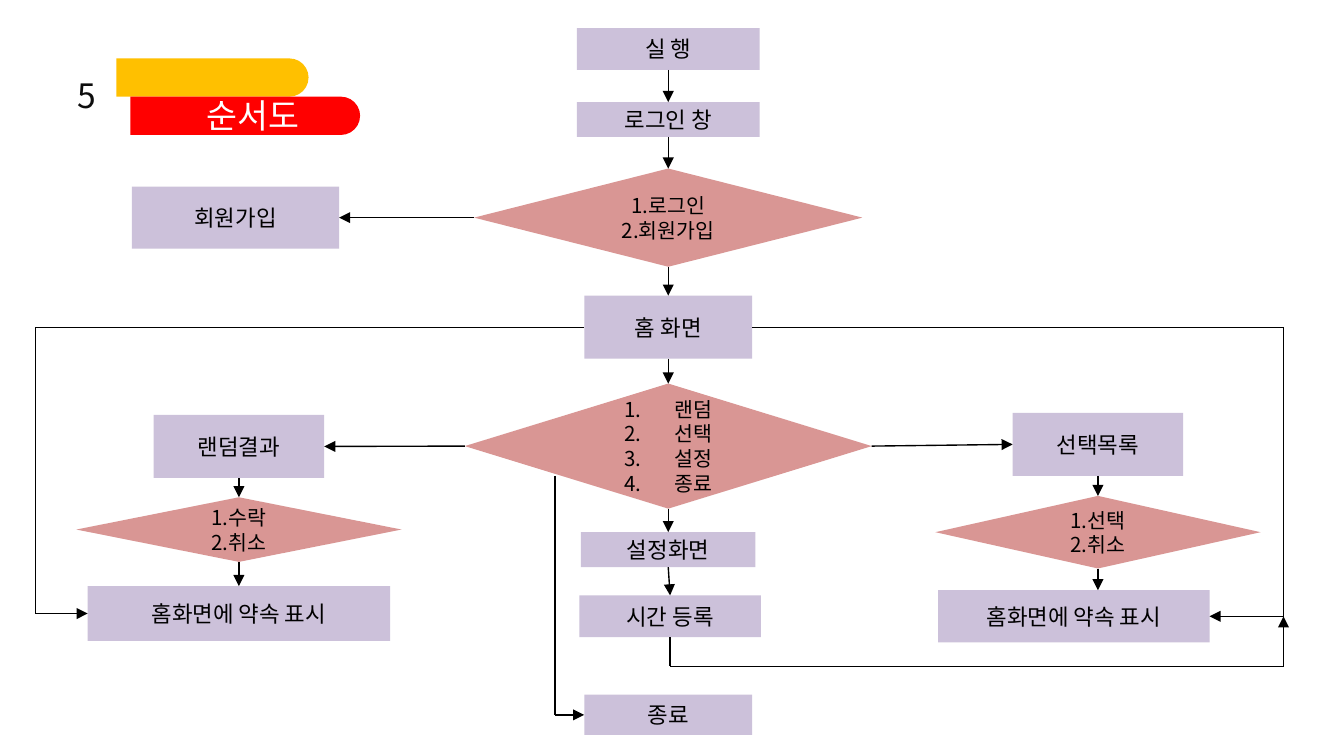
from dataclasses import dataclass
from typing import Any, NamedTuple

from lxml.etree import SubElement
from pptx import Presentation
from pptx.dml.color import RGBColor
from pptx.enum.shapes import MSO_CONNECTOR, MSO_SHAPE
from pptx.enum.text import MSO_ANCHOR, MSO_AUTO_SIZE, PP_ALIGN
from pptx.oxml.ns import qn
from pptx.util import Pt


@dataclass(frozen=True)
class Theme:
    """Colours, type sizes and line width of the slide."""
    font: str = "Noto Sans CJK KR"
    step: str = "CCC1DA"
    choice: str = "D99694"
    gold: str = "FFC000"
    red: str = "FF0000"
    white: str = "FFFFFF"
    black: str = "000000"
    dark: str = "0D0D0D"
    head: float = 18
    label: float = 12
    option: float = 11
    line: float = 0.75
    indent: float = 27


class Node(NamedTuple):
    """One flowchart step, placed by its centre line and top."""
    name: str
    text: str
    mid: float
    top: float
    wide: float
    high: float
    choice: bool = False
    listed: bool = False


class Port(NamedTuple):
    """A connection site on a named node."""
    name: str
    side: int


class Spot(NamedTuple):
    """A free point on the slide."""
    x: float
    y: float


class Bar(NamedTuple):
    """A banner bar with one rounded end."""
    left: float
    top: float
    wide: float
    color: str


THEME = Theme()
UP, LEFT, DOWN, RIGHT = range(4)
AXIS, WEST, EAST = 358, 128, 588.2
RAIL_W, RAIL_E, EXIT = 19, 687.6, 297.4
HOME_Y, WEST_Y, EAST_Y, LOW_Y, END_Y = 175.3, 328.7, 330.2, 357, 383
BAR_H = 20.5

NODES = [
    Node("start", "실 행", AXIS, 15.1, 98, 22.3),
    Node("login", "로그인 창", AXIS, 54.7, 98, 18.7),
    Node("entry", "1.로그인\n2.회원가입", AXIS, 90.3, 208, 52.6, True),
    Node("join", "회원가입", 126.2, 100, 111, 33.2),
    Node("home", "홈 화면", AXIS, 158.4, 90, 33.8),
    Node("menu", "랜덤\n선택\n설정\n종료", AXIS, 205.5, 218, 67, True, True),
    Node("random", "랜덤결과", WEST, 222.3, 91.4, 33.8),
    Node("accept", "1.수락\n2.취소", WEST, 266.4, 174.2, 34.6, True),
    Node("west", "홈화면에 약속 표시", WEST, 314, 162, 29.4),
    Node("list", "선택목록", EAST, 221.2, 91.4, 33.8),
    Node("pick", "1.선택\n2.취소", EAST, 265.7, 174.2, 38.9, True),
    Node("east", "홈화면에 약속 표시", 575.3, 316.2, 145.4, 28),
    Node("setup", "설정화면", AXIS, 285.1, 93.6, 18.7),
    Node("time", "시간 등록", AXIS + 1, 319, 97.2, 22.3),
    Node("end", "종료", AXIS, 372.2, 90, 21.6),
]

ROUTES = [
    [Port("start", DOWN), Port("login", UP)],
    [Port("login", DOWN), Port("entry", UP)],
    [Port("entry", LEFT), Port("join", RIGHT)],
    [Port("entry", DOWN), Port("home", UP)],
    [Port("home", DOWN), Port("menu", UP)],
    [Port("menu", LEFT), Port("random", RIGHT)],
    [Port("menu", RIGHT), Port("list", LEFT)],
    [Port("menu", DOWN), Port("setup", UP)],
    [Port("setup", DOWN), Port("time", UP)],
    [Port("random", DOWN), Port("accept", UP)],
    [Port("accept", DOWN), Port("west", UP)],
    [Port("list", DOWN), Port("pick", UP)],
    [Port("pick", DOWN), Spot(EAST, 316.2)],
    [Port("home", LEFT), Spot(RAIL_W, HOME_Y), Spot(RAIL_W, WEST_Y), Port("west", LEFT)],
    [Port("home", RIGHT), Spot(RAIL_E, HOME_Y), Spot(RAIL_E, EAST_Y), Port("east", RIGHT)],
    [Port("time", DOWN), Spot(AXIS + 1, LOW_Y), Spot(RAIL_E, LOW_Y), Spot(RAIL_E, EAST_Y)],
    [Spot(EXIT, 254.9), Spot(EXIT, END_Y), Port("end", LEFT)],
]

BARS = [Bar(62.3, 31.3, 103, THEME.gold), Bar(69.8, 51.8, 123.1, THEME.red)]


def write(frame: Any, text: str, *, size: float, color: str = THEME.black,
          align: Any = PP_ALIGN.CENTER, anchor: Any = MSO_ANCHOR.MIDDLE,
          wrap: bool = True, listed: bool = False) -> None:
    """Fill a text frame, one paragraph per line of text."""
    frame.word_wrap = wrap
    frame.auto_size = MSO_AUTO_SIZE.NONE if wrap else MSO_AUTO_SIZE.SHAPE_TO_FIT_TEXT
    frame.vertical_anchor = anchor
    for row, line in enumerate(text.split("\n")):
        para = frame.add_paragraph() if row else frame.paragraphs[0]
        para.alignment = align
        if listed:
            props = para._p.get_or_add_pPr()
            props.set("marL", str(Pt(THEME.indent)))
            props.set("indent", str(-Pt(THEME.indent)))
            SubElement(props, qn("a:buFont"), typeface="+mj-lt")
            SubElement(props, qn("a:buAutoNum"), type="arabicPeriod")
        run = para.add_run()
        run.text = line
        run.font.size = Pt(size)
        run.font.color.rgb = RGBColor.from_string(color)
        run.font.name = THEME.font
        SubElement(run._r.get_or_add_rPr(), qn("a:ea"), typeface=THEME.font)


def paint(shape: Any, color: str) -> None:
    """Give a shape a flat fill with no outline or shadow."""
    shape.shadow.inherit = False
    shape.fill.solid()
    shape.fill.fore_color.rgb = RGBColor.from_string(color)
    shape.line.fill.background()


def place(slide: Any, node: Node) -> Any:
    """Draw one node and return its shape."""
    kind = MSO_SHAPE.FLOWCHART_DECISION if node.choice else MSO_SHAPE.RECTANGLE
    shape = slide.shapes.add_shape(kind, Pt(node.mid - node.wide / 2), Pt(node.top),
                                   Pt(node.wide), Pt(node.high))
    paint(shape, THEME.choice if node.choice else THEME.step)
    write(shape.text_frame, node.text, listed=node.listed,
          size=THEME.option if node.choice else THEME.label)
    return shape


def link(slide: Any, shapes: dict[str, Any], start: Port | Spot, stop: Port | Spot,
         tip: bool) -> None:
    """Draw one straight line, joined to nodes at its ports."""
    ends = [Spot(0, 0) if isinstance(end, Port) else end for end in (start, stop)]
    wire = slide.shapes.add_connector(MSO_CONNECTOR.STRAIGHT,
                                      *(Pt(value) for end in ends for value in end))
    if isinstance(start, Port):
        wire.begin_connect(shapes[start.name], start.side)
    if isinstance(stop, Port):
        wire.end_connect(shapes[stop.name], stop.side)
    wire.line.color.rgb = RGBColor.from_string(THEME.black)
    wire.line.width = Pt(THEME.line)
    props = wire.element.spPr
    if tip:
        SubElement(props.find(qn("a:ln")), qn("a:tailEnd"), type="triangle")
    SubElement(props, qn("a:effectLst"))


def banner(slide: Any) -> None:
    """Draw the two bars, the page number and the title."""
    group = slide.shapes.add_group_shape()
    for bar in BARS:
        shape = group.shapes.add_shape(
            MSO_SHAPE.ROUND_2_SAME_RECTANGLE, Pt(bar.left + (bar.wide - BAR_H) / 2),
            Pt(bar.top + (BAR_H - bar.wide) / 2), Pt(BAR_H), Pt(bar.wide))
        shape.rotation = 90
        shape.adjustments[0], shape.adjustments[1] = 0.5, 0
        paint(shape, bar.color)
    title = slide.shapes.title
    title.left, title.top, title.width, title.height = Pt(103.7), Pt(47.5), Pt(66.2), Pt(29)
    title.element.getparent().append(title.element)
    number = slide.shapes.add_textbox(Pt(34.6), Pt(36.7), Pt(24.5), Pt(29))
    for box, text, color in ((title, "순서도", THEME.white), (number, "5", THEME.dark)):
        write(box.text_frame, text, size=THEME.head, color=color,
              align=PP_ALIGN.LEFT, anchor=MSO_ANCHOR.TOP, wrap=False)


def main() -> None:
    """Build the flowchart slide and save it."""
    deck = Presentation()
    deck.slide_width, deck.slide_height = Pt(720), Pt(405)
    slide = deck.slides.add_slide(deck.slide_layouts[5])
    shapes = {node.name: place(slide, node) for node in NODES}
    banner(slide)
    for route in ROUTES:
        for start, stop in zip(route, route[1:]):
            link(slide, shapes, start, stop, stop is route[-1])
    deck.save("out.pptx")


if __name__ == "__main__":
    main()
